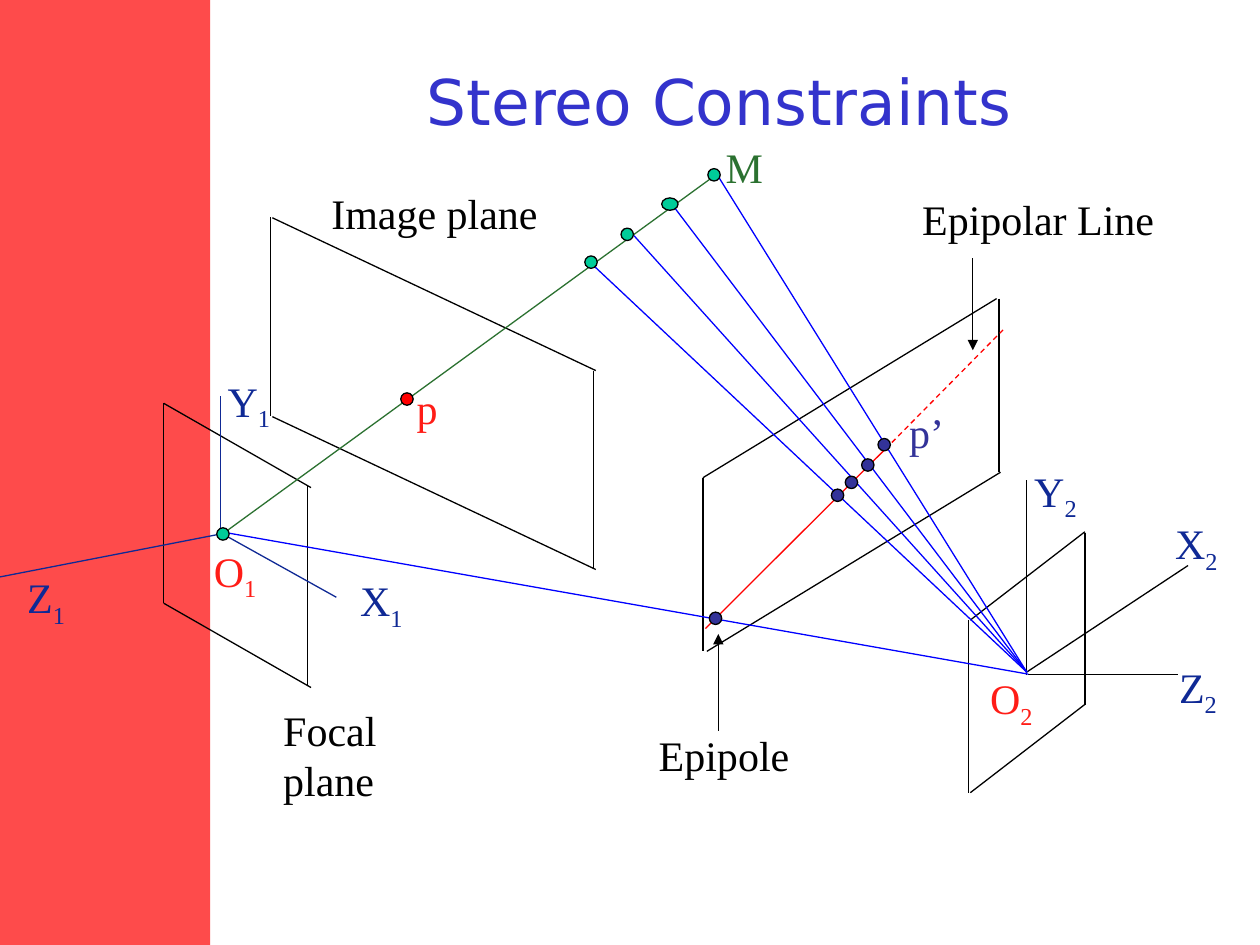
from lxml import etree
from pptx import Presentation
from pptx import util as u
from pptx.dml.color import RGBColor
from pptx.enum import dml, shapes, text
from pptx.oxml.ns import qn

BLACK, NAVY, BLUE, RED = "000000", "0F2995", "0000FF", "FF0000"
GREEN, TEAL, INDIGO, SCARLET = "2B7130", "00CC99", "333399", "FF1D17"
DOT = 0.25
LABEL_HEIGHT = 1.27


def colour(value):
    return RGBColor.from_string(value)


def add_line(slide, start, end, line_colour=BLACK, dashed=False, arrow=False):
    connector = slide.shapes.add_connector(
        shapes.MSO_CONNECTOR.STRAIGHT, *(u.Cm(value) for value in (*start, *end)))
    connector.line.width = u.Pt(0.75)
    connector.line.color.rgb = colour(line_colour)
    if dashed:
        connector.line.dash_style = dml.MSO_LINE.DASH
    if arrow:
        tail = etree.SubElement(connector.line._get_or_add_ln(), qn("a:tailEnd"))
        tail.set("type", "triangle")
    etree.SubElement(connector._element.spPr, qn("a:effectLst"))


def add_filled(slide, kind, box, fill, outline=None):
    shape = slide.shapes.add_shape(kind, *(u.Cm(value) for value in box))
    shape.shadow.inherit = False
    shape.fill.solid()
    shape.fill.fore_color.rgb = colour(fill)
    if outline:
        shape.line.color.rgb = colour(outline)
        shape.line.width = u.Pt(0.75)
    else:
        shape.line.fill.background()


def add_dot(slide, left, top, fill, width=DOT):
    add_filled(slide, shapes.MSO_SHAPE.OVAL, (left, top, width, DOT), fill, BLACK)


def add_run(paragraph, content, size, font, font_colour):
    run = paragraph.add_run()
    run.text = content
    run.font.size = u.Pt(size)
    run.font.name = font
    run.font.color.rgb = colour(font_colour)
    return run


def add_label(slide, left, top, width, content, font_colour=BLACK, subscript=None):
    box = slide.shapes.add_textbox(u.Cm(left), u.Cm(top), u.Cm(width), u.Cm(LABEL_HEIGHT))
    frame = box.text_frame
    frame.word_wrap = False
    frame.auto_size = text.MSO_AUTO_SIZE.SHAPE_TO_FIT_TEXT
    paragraph = frame.paragraphs[0]
    add_run(paragraph, content, 24, "Times New Roman", font_colour)
    if subscript:
        run = add_run(paragraph, subscript, 24, "Times New Roman", font_colour)
        run._r.get_or_add_rPr().set("baseline", "-25000")


def add_plane(slide, left, right, edge, height, drift=0):
    """Two upright sides from their top points, and a slanted edge drawn twice."""
    for x, y in (left, right):
        add_line(slide, (x, y), (x, y + height))
    add_line(slide, *edge)
    add_line(slide, *((x + drift, y + height) for x, y in edge))


def set_title(slide, content):
    title = slide.shapes.title
    title.left, title.top = u.Cm(4.24), u.Cm(1.07)
    title.width, title.height = u.Cm(20.52), u.Cm(1.9)
    title.text_frame.vertical_anchor = text.MSO_ANCHOR.MIDDLE
    paragraph = title.text_frame.paragraphs[0]
    paragraph.alignment = text.PP_ALIGN.CENTER
    add_run(paragraph, content, 36, "DejaVu Sans", "3333CC")


def add_planes(slide):
    # Left camera: focal plane, image plane
    add_plane(slide, (3.3, 8.13), (6.2, 9.78), ((3.3, 8.13), (6.27, 9.83)), 4.03)
    add_plane(slide, (5.46, 4.37), (11.96, 7.47), ((5.49, 4.39), (12.01, 7.47)), 4.01)
    # Right camera: focal plane, image plane
    add_plane(slide, (19.53, 12.5), (21.87, 10.74), ((19.56, 12.5), (21.87, 10.72)), 3.48)
    add_plane(slide, (14.17, 9.63), (20.14, 6.02), ((14.17, 9.63), (20.09, 6.02)), 3.5, 0.08)


def add_axes(slide):
    for start, end in (((4.45, 10.74), (4.45, 7.98)),
                       ((4.5, 10.77), (6.78, 12.04)),
                       ((4.42, 10.77), (0, 11.63))):
        add_line(slide, start, end, NAVY)
    for start, end in (((20.7, 13.61), (20.7, 9.68)),
                       ((20.68, 13.56), (23.95, 11.4)),
                       ((20.73, 13.59), (23.75, 13.59))):
        add_line(slide, start, end)


def add_rays(slide):
    right_centre = (20.7, 13.55)
    add_line(slide, (14.45, 3.51), (4.52, 10.74), GREEN)
    for start in ((14.45, 3.51), (13.54, 4.11), (12.78, 4.75), (11.94, 5.33)):
        add_line(slide, start, right_centre, BLUE)
    add_line(slide, (4.57, 10.74), (20.73, 13.59), BLUE)
    # Epipolar line
    add_line(slide, (17.86, 9.04), (14.22, 12.67), RED)
    add_line(slide, (17.98, 8.92), (20.22, 6.65), RED, dashed=True)


def add_points(slide):
    add_dot(slide, 13.34, 3.99, TEAL, width=0.33)
    for left, top in ((14.27, 3.4), (12.52, 4.6), (11.79, 5.16), (4.37, 10.64)):
        add_dot(slide, left, top, TEAL)
    for left, top in ((17.7, 8.84), (17.37, 9.25), (17.04, 9.6), (16.76, 9.86), (14.3, 12.34)):
        add_dot(slide, left, top, INDIGO)
    add_dot(slide, 8.08, 7.92, RED)


def add_labels(slide):
    for label in (
        # Left camera
        (7.01, 11.46, 1.4, "X", NAVY, "1"),
        (4.34, 7.44, 1.4, "Y", NAVY, "1"),
        (0.3, 11.4, 1.32, "Z", NAVY, "1"),
        (4.06, 10.87, 1.42, "O", SCARLET, "1"),
        # Right camera
        (23.44, 10.31, 1.4, "X", NAVY, "2"),
        (20.6, 9.25, 1.4, "Y", NAVY, "2"),
        (23.52, 13.21, 1.32, "Z", NAVY, "2"),
        (19.71, 13.44, 1.42, "O", SCARLET, "2"),
        # Points
        (14.38, 2.72, 1.27, "M", GREEN),
        (8.15, 7.59, 0.94, "p", SCARLET),
        (18.08, 8.08, 1.22, "p’", INDIGO),
        # Captions
        (6.43, 3.66, 4.67, "Image plane"),
        (5.46, 14.07, 4.42, "Focal plane"),
        (18.34, 3.78, 5.18, "Epipolar Line"),
        (13.03, 14.58, 3.15, "Epipole"),
    ):
        add_label(slide, *label)
    # Caption arrows
    add_line(slide, (19.61, 5.21), (19.61, 7.06), arrow=True)
    add_line(slide, (14.48, 14.73), (14.48, 12.78), arrow=True)


def main():
    presentation = Presentation()
    presentation.slide_width, presentation.slide_height = u.Cm(25.4), u.Cm(19.05)
    slide = presentation.slides.add_slide(presentation.slide_layouts[5])
    # Side band
    add_filled(slide, shapes.MSO_SHAPE.RECTANGLE, (0, 0, 4.24, 19.05), "FE4B4B")
    set_title(slide, "Stereo Constraints")
    add_planes(slide)
    add_axes(slide)
    add_rays(slide)
    add_points(slide)
    add_labels(slide)
    presentation.save("out.pptx")


if __name__ == "__main__":
    main()
